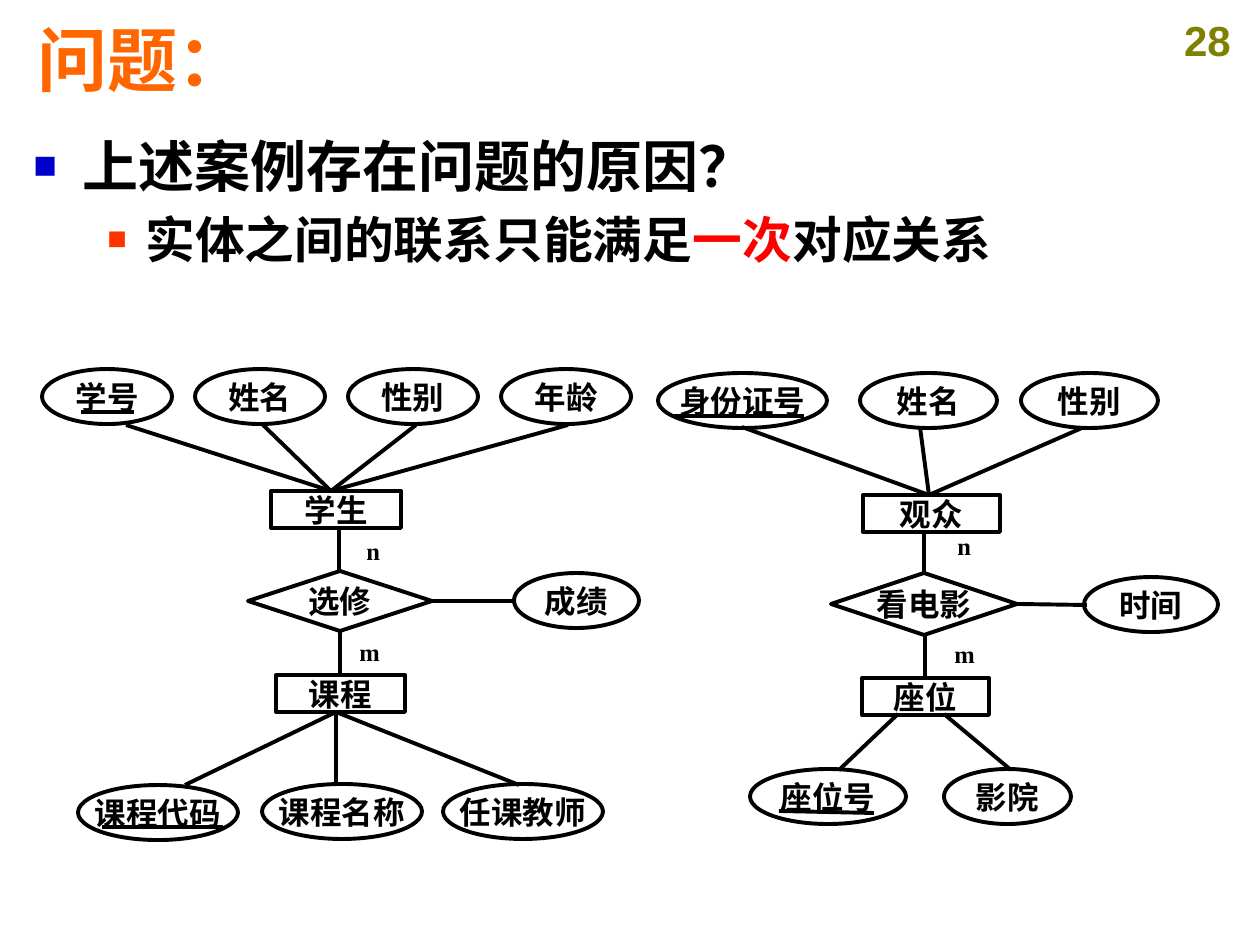
"""Build a slide with two entity-relationship diagrams."""
from pptx import Presentation
from pptx import util as u
from pptx.dml.color import RGBColor
from pptx.enum import shapes, text
from pptx.oxml.ns import qn
from lxml import etree

SCALE = 914400 / 126
SERIF = "Times New Roman"
BLACK = "000000"
KINDS = {
    "oval": shapes.MSO_SHAPE.OVAL,
    "rect": shapes.MSO_SHAPE.RECTANGLE,
    "diamond": shapes.MSO_SHAPE.DIAMOND,
}
NODES = [
    ("rect", "学生", 271, 491, 130, 37),
    ("diamond", "选修", 248, 571, 184, 60),
    ("oval", "成绩", 514, 573, 125, 55),
    ("rect", "课程", 276, 675, 129, 37),
    ("oval", "课程代码", 78, 785, 160, 55),
    ("oval", "课程名称", 262, 784, 160, 55),
    ("oval", "任课教师", 443, 784, 160, 55),
    ("oval", "身份证号", 658, 373, 169, 55),
    ("oval", "姓名", 860, 373, 137, 55),
    ("oval", "性别", 1021, 373, 137, 55),
    ("rect", "观众", 863, 495, 137, 37),
    ("diamond", "看电影", 831, 573, 186, 62),
    ("oval", "时间", 1084, 577, 134, 55),
    ("rect", "座位", 862, 678, 127, 37),
    ("oval", "座位号", 750, 769, 156, 55),
    ("oval", "影院", 944, 769, 127, 55),
]
FANS = [
    ((331, 491), [(126, 425), (263, 425), (416, 425), (568, 425)]),
    ((336, 712), [(185, 785), (336, 785), (519, 785)]),
    ((929, 495), [(742, 427), (920, 427), (1082, 428)]),
]
LINKS = [
    (339, 571, 339, 528), (340, 631, 340, 674), (432, 601, 513, 601),
    (924, 573, 924, 531), (1087, 605, 1017, 604),
    (898, 714, 839, 770), (1011, 770, 944, 714),
]
KEYS = [
    (81, 412, 134, 412), (102, 827, 223, 827),
    (674, 416, 804, 416), (779, 811, 874, 813),
]
MARKS = [
    ("n", 354, 530), ("m", 347, 631), ("n", 945, 525), ("m", 942, 633),
]


def px(num):
    """Turn pixels into EMU."""
    return u.Emu(round(num * SCALE))


def tint(code):
    """Turn a hex string into a colour."""
    return RGBColor.from_string(code)


def style(para, size, face=SERIF, color=BLACK):
    """Format every run of a paragraph."""
    for run in para.runs:
        font = run.font
        font.size, font.name, font.bold = u.Pt(size), face, True
        font.color.rgb = tint(color)


def add_text(slide, words, box, size, face=SERIF, color=BLACK, align=None):
    """Add a text box holding one paragraph."""
    frame = slide.shapes.add_textbox(*map(px, box)).text_frame
    frame.word_wrap = True
    frame.text = words
    para = frame.paragraphs[0]
    para.alignment = align
    style(para, size, face, color)
    return frame


def add_node(slide, kind, name, *box):
    """Add an outlined shape with a centred name."""
    node = slide.shapes.add_shape(KINDS[kind], *map(px, box))
    node.shadow.inherit = False
    node.fill.background()
    node.line.color.rgb = tint(BLACK)
    node.line.width = u.Pt(2.25)
    frame = node.text_frame
    frame.word_wrap = False
    frame.vertical_anchor = text.MSO_ANCHOR.MIDDLE
    frame.text = name
    para = frame.paragraphs[0]
    para.alignment = text.PP_ALIGN.CENTER
    style(para, 18)


def add_line(slide, ends, width=2.25):
    """Add a straight black line."""
    line = slide.shapes.add_connector(
        shapes.MSO_CONNECTOR.STRAIGHT, *map(px, ends))
    line.line.color.rgb = tint(BLACK)
    line.line.width = u.Pt(width)
    etree.SubElement(line._element.spPr, qn("a:effectLst"))


def add_bullet(para, left, hang, color, size):
    """Give a paragraph a hanging square bullet."""
    prop = para._p.get_or_add_pPr()
    prop.set("marL", str(px(left)))
    prop.set("indent", str(-px(hang)))
    hue = etree.SubElement(prop, qn("a:buClr"))
    etree.SubElement(hue, qn("a:srgbClr"), val=color)
    etree.SubElement(prop, qn("a:buSzPct"), val=str(size * 1000))
    etree.SubElement(prop, qn("a:buFont"), typeface="Arial")
    etree.SubElement(prop, qn("a:buChar"), char="■")


def add_body(slide):
    """Add the question and its answer as bullets."""
    frame = add_text(
        slide, "上述案例存在问题的原因？", (21, 125, 1220, 181), 32)
    add_bullet(frame.paragraphs[0], 49, 49, "0000CC", 70)
    para = frame.add_paragraph()
    para.level = 1
    para.space_before = u.Pt(5.7)
    add_bullet(para, 112, 38, "FF3300", 65)
    for part in ("实体之间的联系只能满足", "一次", "对应关系"):
        para.add_run().text = part
    style(para, 28.4)
    para.runs[1].font.color.rgb = tint("FF0000")


def main():
    """Build and save the slide."""
    deck = Presentation()
    deck.slide_width, deck.slide_height = px(1260), px(945)
    slide = deck.slides.add_slide(deck.slide_layouts[6])
    add_text(slide, "28", (1163, 8, 89, 63), 24, "Arial", "808000",
             text.PP_ALIGN.CENTER)
    title = add_text(slide, "问题：", (25, 24, 1193, 69), 40, "Arial", "FF6600")
    title.vertical_anchor = text.MSO_ANCHOR.MIDDLE
    add_body(slide)
    for hub, tips in FANS:
        for tip in tips:
            add_line(slide, tip + hub)
    for ends in LINKS + KEYS:
        add_line(slide, ends)
    add_line(slide, (925, 635, 925, 678), 2)
    for col, name in enumerate(("学号", "姓名", "性别", "年龄")):
        add_node(slide, "oval", name, 42 + 153 * col, 369, 130, 55)
    for node in NODES:
        add_node(slide, *node)
    for mark, left, top in MARKS:
        add_text(slide, mark, (left, top, 40, 43), 14)
    deck.save("out.pptx")


if __name__ == "__main__":
    main()
